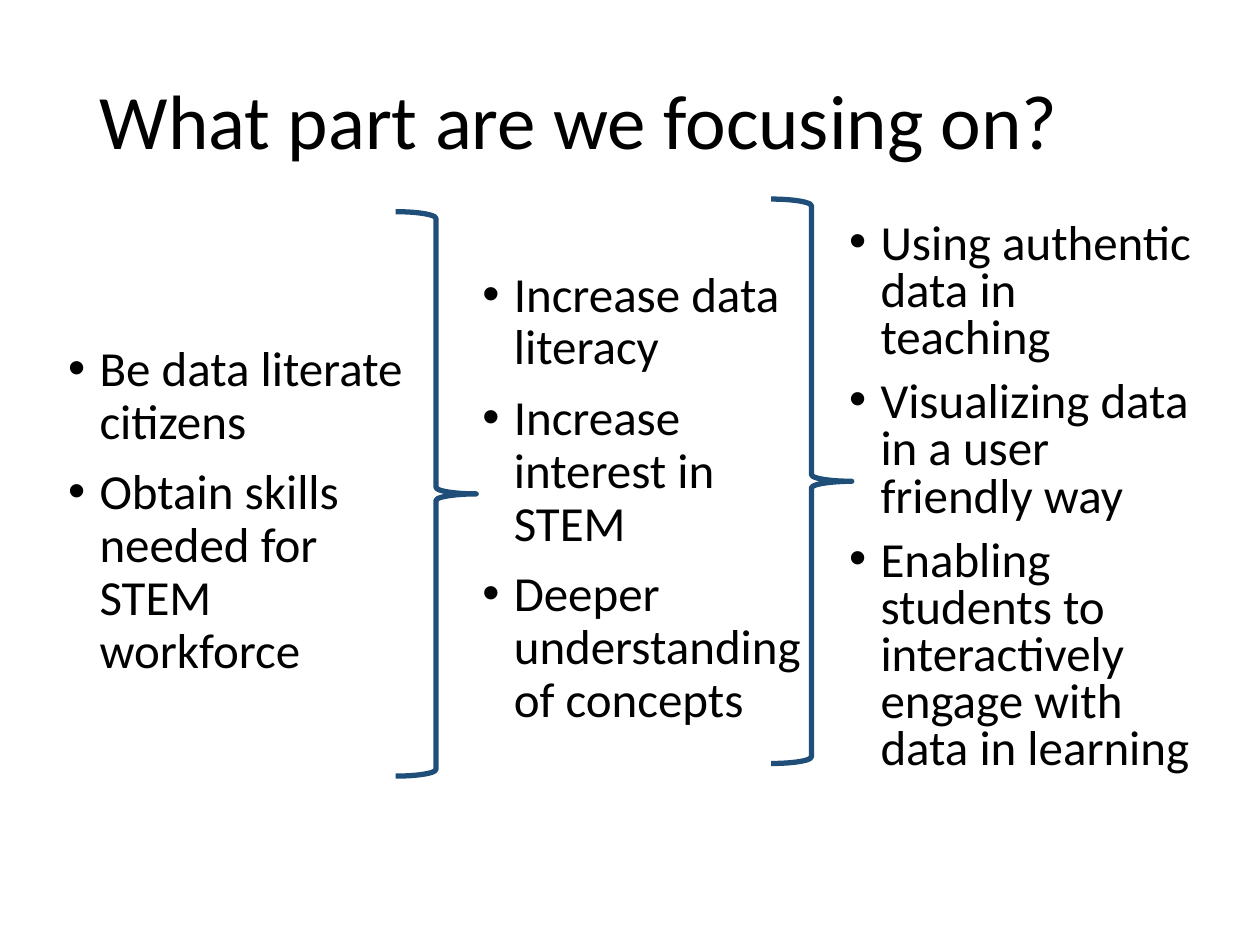
from dataclasses import dataclass

from lxml import etree
from pptx import Presentation
from pptx import util as u
from pptx.dml.color import RGBColor
from pptx.enum import shapes, text
from pptx.oxml.ns import qn


@dataclass(frozen=True)
class Theme:
    font: str = "Calibri"
    ink: RGBColor = RGBColor(0x00, 0x00, 0x00)
    brace: RGBColor = RGBColor(0x1F, 0x4E, 0x79)
    title_size: int = 44
    body_size: int = 28
    brace_width: int = 3


THEME = Theme()

# Each column: left, top, line spacing, items
COLUMNS = [
    (0.44, 1.68, 0.9, ["Be data literate citizens",
                       "Obtain skills needed for STEM workforce"]),
    (3.73, 1.58, 0.9, ["Increase data literacy",
                       "Increase interest in STEM",
                       "Deeper understanding of concepts"]),
    (6.64, 1.58, 0.8, ["Using authentic data in teaching",
                       "Visualizing data in a user friendly way",
                       "Enabling students to interactively engage with data in learning"]),
]
BRACES = [(3.14, 1.68), (6.12, 1.58)]


def place(shape, box):
    shape.left, shape.top, shape.width, shape.height = map(u.Inches, box)


def prepare_frame(shape):
    frame = shape.text_frame
    frame.word_wrap = True
    frame.auto_size = text.MSO_AUTO_SIZE.NONE
    frame.vertical_anchor = text.MSO_ANCHOR.MIDDLE
    return frame


def add_bullet(paragraph, indent=0.25):
    properties = paragraph._p.get_or_add_pPr()
    properties.set("marL", str(u.Inches(indent)))
    properties.set("indent", str(-u.Inches(indent)))
    etree.SubElement(properties, qn("a:buFont")).set("typeface", "Arial")
    etree.SubElement(properties, qn("a:buChar")).set("char", "•")


def write(paragraph, words, *, size, spacing=0.9, before=0, bullet=False):
    if bullet:
        add_bullet(paragraph)
    paragraph.text = words
    paragraph.alignment = text.PP_ALIGN.LEFT
    paragraph.line_spacing = spacing
    paragraph.space_before = u.Pt(before)
    paragraph.font.name = THEME.font
    paragraph.font.size = u.Pt(size)
    paragraph.font.color.rgb = THEME.ink


def fill_title(shape, box):
    place(shape, box)
    write(prepare_frame(shape).paragraphs[0], "What part are we focusing on?",
          size=THEME.title_size)


def fill_column(shape, box, items, spacing):
    place(shape, box)
    frame = prepare_frame(shape)
    for index, item in enumerate(items):
        paragraph = frame.add_paragraph() if index else frame.paragraphs[0]
        write(paragraph, item, size=THEME.body_size, spacing=spacing,
              before=10 if index else 0, bullet=True)


def add_brace(slide, box):
    brace = slide.shapes.add_shape(shapes.MSO_SHAPE.RIGHT_BRACE, *map(u.Inches, box))
    brace.shadow.inherit = False
    brace.fill.background()
    brace.line.color.rgb = THEME.brace
    brace.line.width = u.Pt(THEME.brace_width)


def build_focus_slide(presentation):
    slide = presentation.slides.add_slide(presentation.slide_layouts[1])
    fill_title(slide.shapes.title, (0.69, 0.4, 8.62, 1.18))

    # The first column is the body placeholder, the others are text boxes
    for index, (left, top, spacing, items) in enumerate(COLUMNS):
        shape = slide.shapes.add_textbox(0, 0, 0, 0) if index else slide.placeholders[1]
        fill_column(shape, (left, top, 2.96, 4.76), items, spacing)

    # Braces leading from one column to the next
    for left, top in BRACES:
        add_brace(slide, (left, top, 0.64, 4.48))


def main():
    presentation = Presentation()
    presentation.slide_width = u.Inches(10)
    presentation.slide_height = u.Inches(7.5)
    build_focus_slide(presentation)
    presentation.save("out.pptx")


if __name__ == "__main__":
    main()
